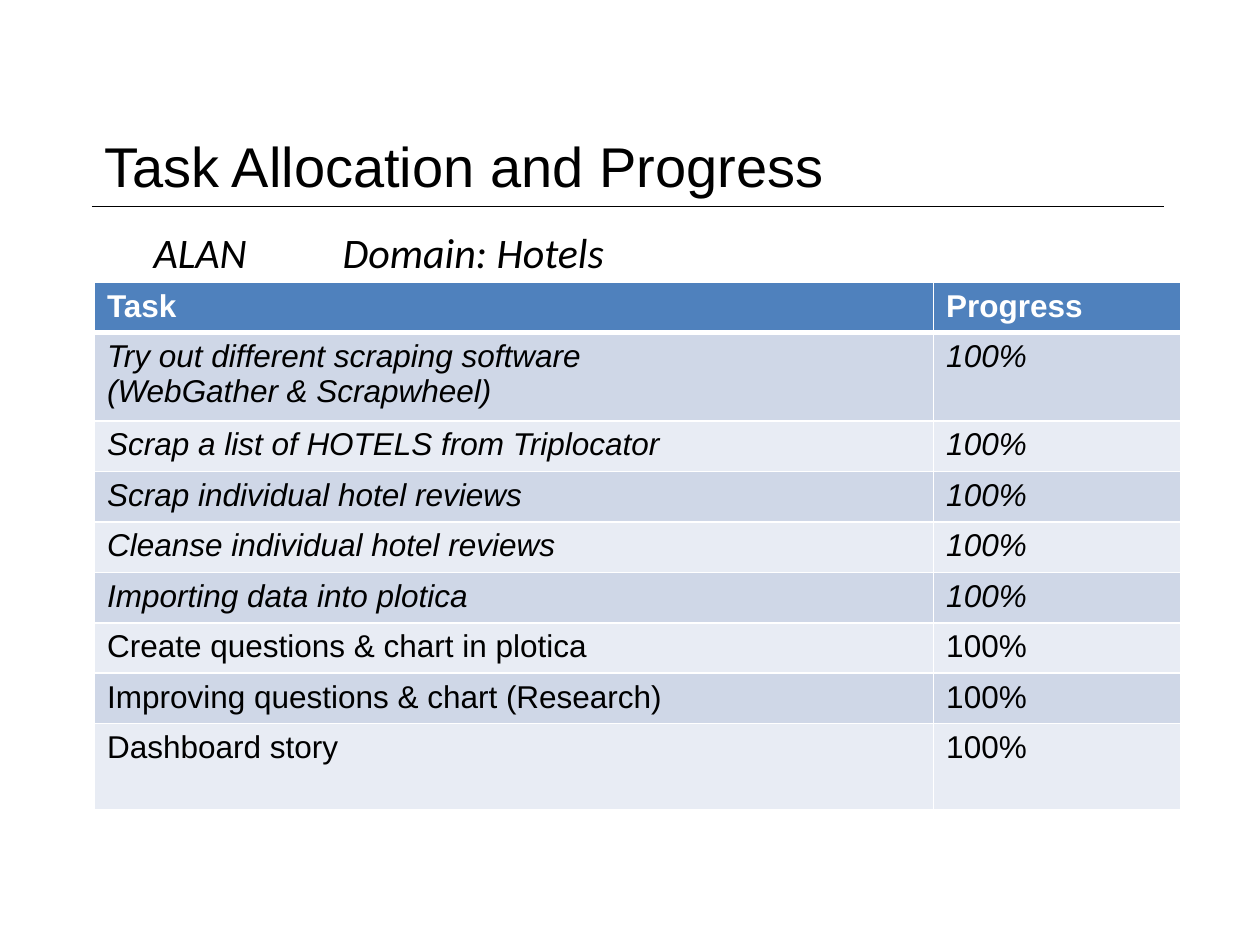
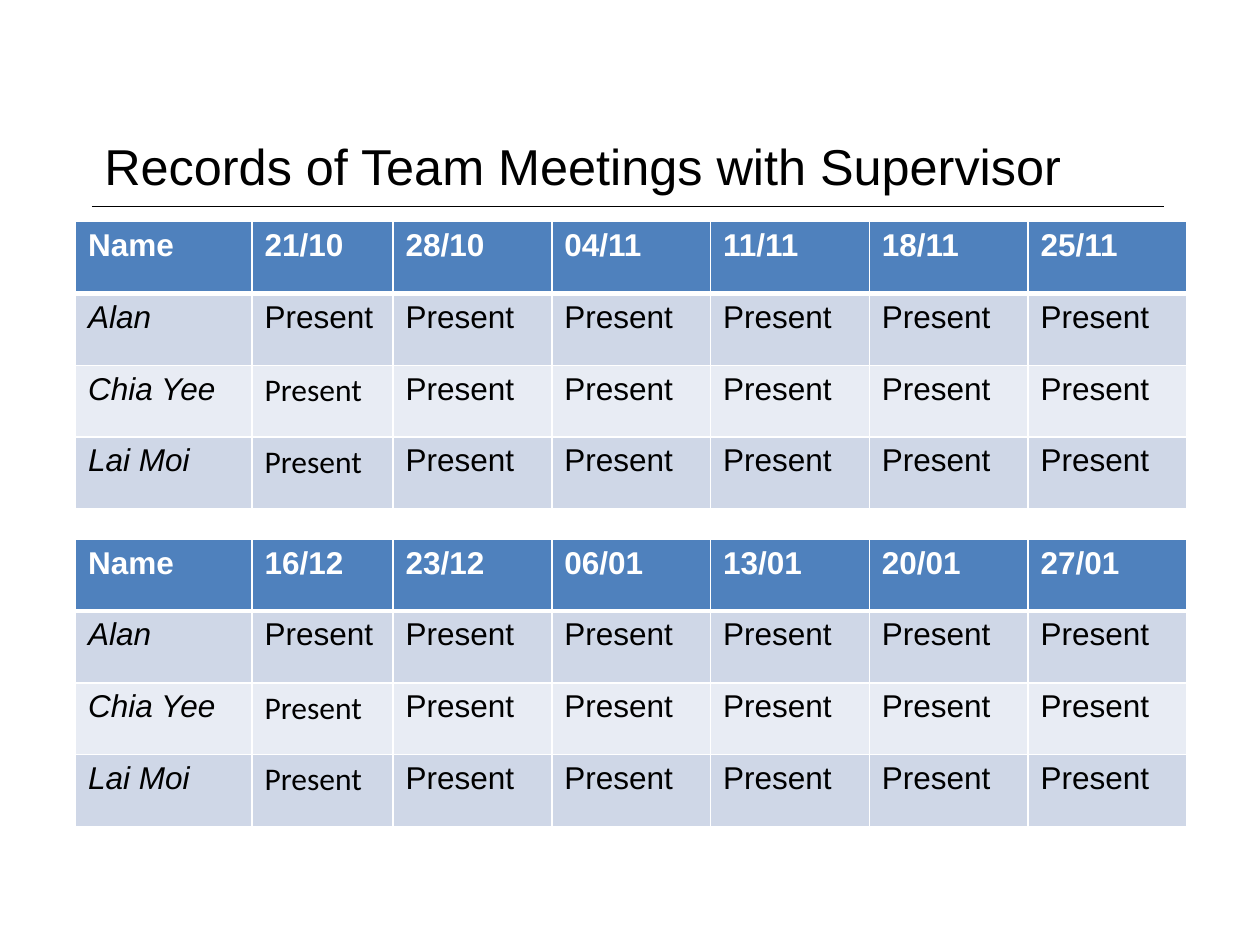
from lxml import etree
from pptx import Presentation, util as u
from pptx.dml.color import RGBColor
from pptx.enum import shapes, text
from pptx.oxml.ns import qn

BLACK = RGBColor(0x00, 0x00, 0x00)
WHITE = RGBColor(0xFF, 0xFF, 0xFF)
HEADER_BLUE = RGBColor(0x4F, 0x81, 0xBD)
BANDS = (RGBColor(0xCF, 0xD7, 0xE7), RGBColor(0xE8, 0xEC, 0xF4))

HEADING_BOX = (0.73, 0.98, 8.51, 0.66)
HEADER_FONT = {"name": "Arial", "size": u.Pt(18), "bold": True, "italic": False}
BODY_FONT = {**HEADER_FONT, "bold": False}
ITALIC_FONT = {**BODY_FONT, "italic": True}
CALIBRI_FONT = {**BODY_FONT, "name": "Calibri"}

TASKS = [
    "Try out different scraping software\n(WebGather & Scrapwheel)",
    "Scrap a list of HOTELS from Triplocator",
    "Scrap individual hotel reviews",
    "Cleanse individual hotel reviews",
    "Importing data into plotica",
    "Create questions & chart in plotica",
    "Improving questions & chart (Research)",
    "Dashboard story",
]
ITALIC_TASKS = 5
MEMBERS = ["Alan", "Chia Yee", "Lai Moi"]
MEETING_DATES = [
    ["21/10", "28/10", "04/11", "11/11", "18/11", "25/11"],
    ["16/12", "23/12", "06/01", "13/01", "20/01", "27/01"],
]


def set_font(paragraph, look, color):
    for run in paragraph.runs:
        for attribute, value in look.items():
            setattr(run.font, attribute, value)
        run.font.color.rgb = color


def add_text(slide, box, wording, look, anchor):
    frame = slide.shapes.add_textbox(*map(u.Inches, box)).text_frame
    frame.word_wrap = True
    frame.vertical_anchor = anchor
    frame.text = wording
    set_font(frame.paragraphs[0], look, BLACK)
    return frame.paragraphs[0]


def add_heading(slide, box, wording, size):
    """Title with a thin rule along the bottom of its box."""
    left, top, width, height = box
    rule_y = u.Inches(top + height)
    rule = slide.shapes.add_connector(
        shapes.MSO_CONNECTOR.STRAIGHT,
        u.Inches(left), rule_y, u.Inches(left + width), rule_y)
    rule.line.color.rgb = BLACK
    rule.line.width = u.Pt(0.75)
    etree.SubElement(rule._element.spPr, qn("a:effectLst"))
    add_text(slide, box, wording, {"name": "Arial", "size": u.Pt(size)},
             text.MSO_ANCHOR.MIDDLE)


def set_borders(cell, row):
    """White 1 pt grid, 3 pt between the header and the first body row."""
    widths = {"lnL": 1, "lnR": 1,
              "lnT": 3 if row == 1 else 1, "lnB": 3 if row == 0 else 1}
    properties = cell._tc.get_or_add_tcPr()
    for tag, points in widths.items():
        line = etree.SubElement(properties, qn(f"a:{tag}"), w=str(u.Pt(points)))
        fill = etree.SubElement(line, qn("a:solidFill"))
        etree.SubElement(fill, qn("a:srgbClr"), val=str(WHITE))


def add_banded_table(slide, left, top, widths, heights, rows, body_look):
    """Blue header and striped body; body_look(row, column) gives the font."""
    table = slide.shapes.add_table(
        len(heights), len(widths), u.Inches(left), u.Inches(top),
        u.Inches(sum(widths)), u.Inches(sum(heights))).table
    for column, width in zip(table.columns, widths):
        column.width = u.Inches(width)
    for r, (wordings, height) in enumerate(zip(rows, heights)):
        table.rows[r].height = u.Inches(height)
        for c, wording in enumerate(wordings):
            cell = table.cell(r, c)
            set_borders(cell, r)
            cell.fill.solid()
            cell.fill.fore_color.rgb = BANDS[(r - 1) % 2] if r else HEADER_BLUE
            cell.text = wording
            for paragraph in cell.text_frame.paragraphs:
                set_font(paragraph, body_look(r, c) if r else HEADER_FONT,
                         BLACK if r else WHITE)


def task_look(row, column):
    return ITALIC_FONT if row <= ITALIC_TASKS else BODY_FONT


def attendance_look(row, column):
    if column == 0:
        return ITALIC_FONT
    return CALIBRI_FONT if column == 1 and row > 1 else BODY_FONT


def build_task_slide(slide):
    add_heading(slide, HEADING_BOX, "Task Allocation and Progress", 32)
    # Member and domain, set apart by default tab stops
    member = add_text(slide, (0.74, 1.75, 8.51, 4.94), "ALAN \t\tDomain: Hotels",
                      {"name": "Calibri", "size": u.Pt(24), "italic": True},
                      text.MSO_ANCHOR.TOP)
    indent = member._p.get_or_add_pPr()
    indent.set("marL", str(u.Inches(0.38)))
    indent.set("indent", "0")
    # Tasks; the first and last ones take taller rows
    rows = [["Task", "Progress"]] + [[task, "100%"] for task in TASKS]
    heights = [0.39, 0.68] + [0.39] * 6 + [0.68]
    add_banded_table(slide, 0.75, 2.24, [6.66, 1.96], heights, rows, task_look)


def build_meeting_slide(slide):
    add_heading(slide, HEADING_BOX, "Records of Team Meetings with Supervisor", 28.8)
    # One attendance table for each term
    for term, dates in enumerate(MEETING_DATES):
        rows = [["Name"] + dates]
        rows += [[member] + ["Present"] * len(dates) for member in MEMBERS]
        add_banded_table(slide, 0.6, 1.76 + term * 2.52, [1.4, 1.12] + [1.26] * 5,
                         [0.57] * len(rows), rows, attendance_look)


def main():
    deck = Presentation()
    deck.slide_width, deck.slide_height = u.Inches(10), u.Inches(7.5)
    for build in (build_task_slide, build_meeting_slide):
        build(deck.slides.add_slide(deck.slide_layouts[6]))
    deck.save("out.pptx")


if __name__ == "__main__":
    main()
